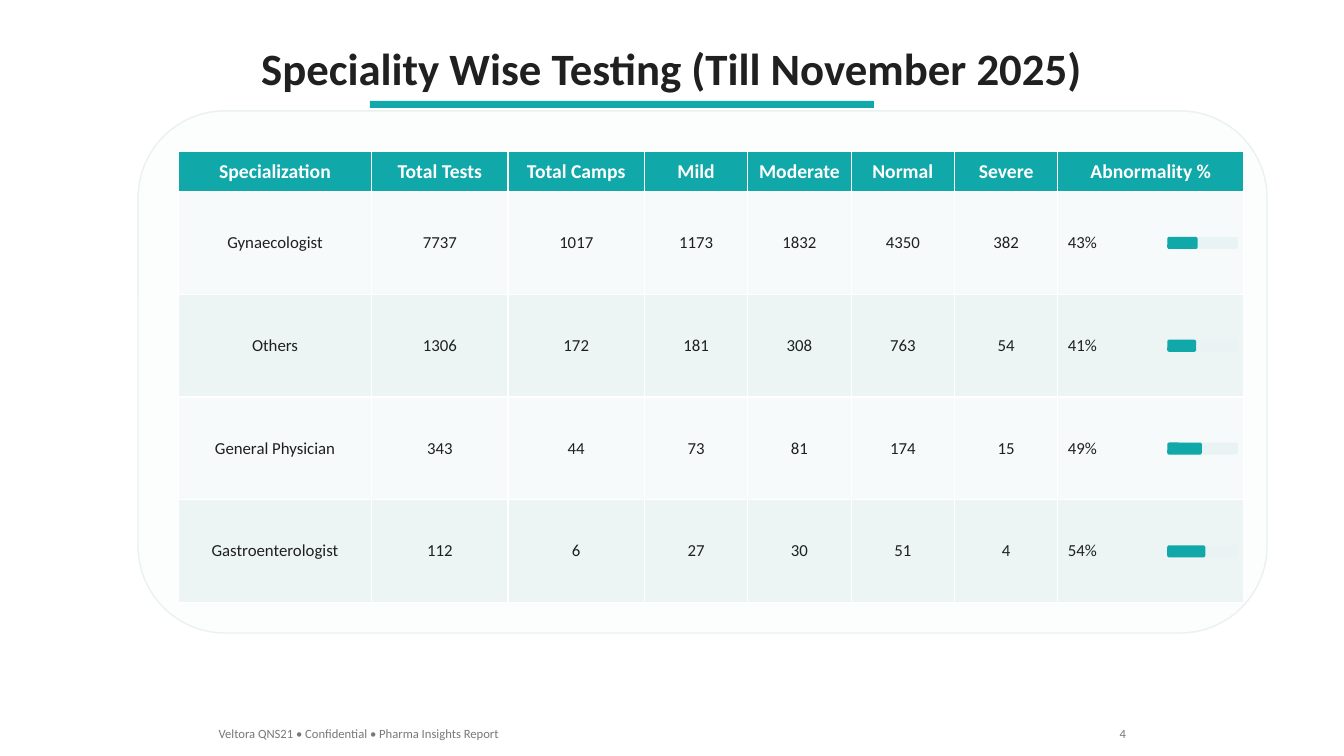
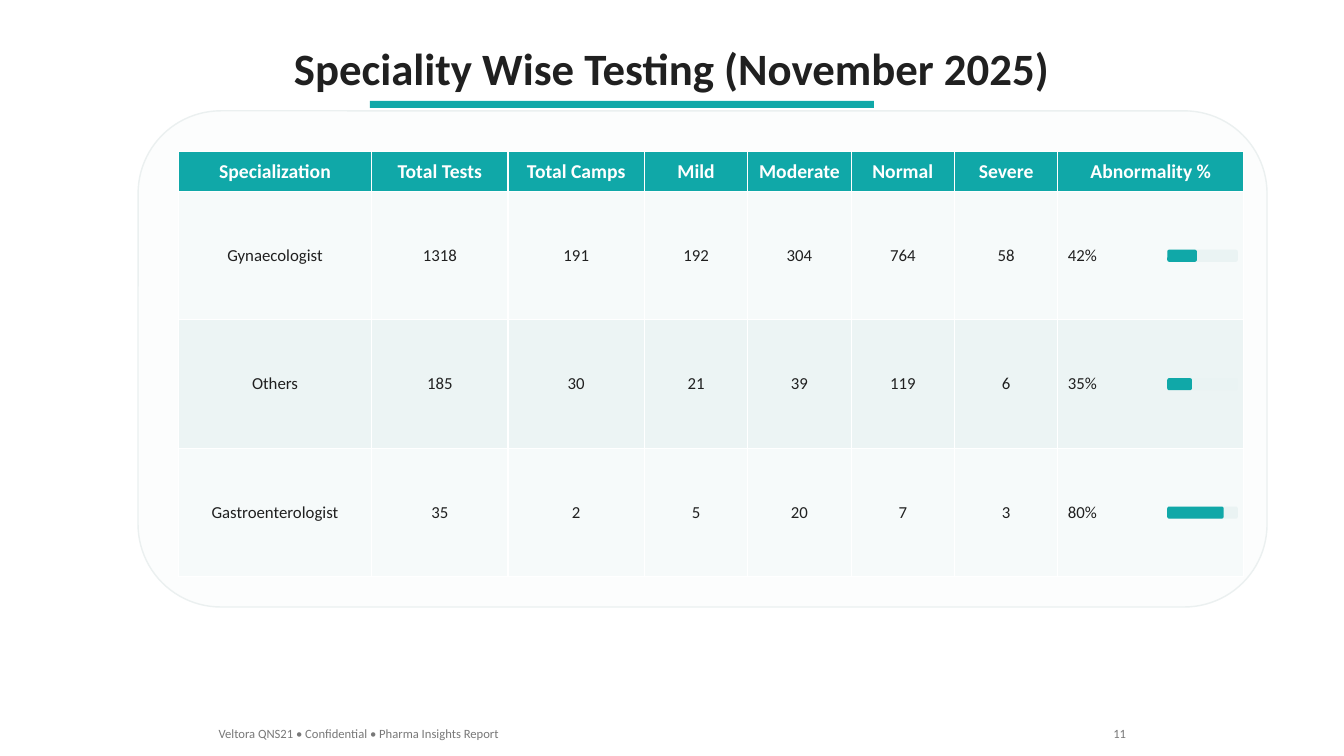
import dataclasses
import typing

import pptx
import pptx.dml.color
import pptx.enum.shapes
import pptx.enum.text
import pptx.shapes.autoshape
import pptx.slide
import pptx.table
import pptx.util

# Every length counts square grid cells, ten to the inch
CELL = pptx.util.Inches(0.1)
COLUMNS, ROWS = 133.33, 75

FONT = "Calibri"
COLOURS = {
    "accent": "10A8A8",
    "text": "202020",
    "muted": "787878",
    "white": "FFFFFF",
    "card": "FCFDFD",
    "card_line": "EBF0F0",
    "row_odd": "F6FAFA",
    "row_even": "ECF4F4",
    "track": "EAF3F3",
}
FOOTER = "Veltora QNS21 • Confidential • Pharma Insights Report"
HEADERS = ("Specialization", "Total Tests", "Total Camps", "Mild",
           "Moderate", "Normal", "Severe", "Abnormality %")
COLUMN_WEIGHTS = (1.87, 1.32, 1.32, 1, 1, 1, 1, 1.8)

Align = pptx.enum.text.PP_ALIGN
ShapeType = pptx.enum.shapes.MSO_SHAPE


class Box(typing.NamedTuple):
    left: float
    top: float
    width: float
    height: float

    def lengths(self) -> list[int]:
        return [round(value * CELL) for value in self]


class TextStyle(typing.NamedTuple):
    size: int
    colour: str
    bold: bool = False
    align: Align = Align.CENTER


TITLE = TextStyle(32, "text", bold=True)
HEADER = TextStyle(14, "white", bold=True)
BODY = TextStyle(12, "text")
BODY_LEFT = BODY._replace(align=Align.LEFT)
FOOTER_LEFT = TextStyle(9, "muted", align=Align.LEFT)
FOOTER_RIGHT = FOOTER_LEFT._replace(align=Align.RIGHT)

TABLE_LEFT, TABLE_TOP, TABLE_WIDTH = 17.7, 15, 105.7
HEADER_HEIGHT = 4
CARD_MARGIN = 4
BAR_WIDTH, BAR_HEIGHT, BAR_INSET = 7, 1.2, 0.6
FOOTER_TOP, FOOTER_HEIGHT, FOOTER_END = 71.5, 2.5, 112.7


@dataclasses.dataclass(frozen=True)
class Speciality:
    name: str
    camps: int
    mild: int
    moderate: int
    normal: int
    severe: int

    @property
    def tests(self) -> int:
        return self.mild + self.moderate + self.normal + self.severe

    @property
    def abnormality(self) -> int:
        return 100 * (self.tests - self.normal) // self.tests

    def cells(self) -> tuple[str, ...]:
        counts = (self.tests, self.camps, self.mild, self.moderate, self.normal, self.severe)
        return (self.name, *map(str, counts), f"{self.abnormality}%")


@dataclasses.dataclass(frozen=True)
class Report:
    title: str
    title_width: float
    page: int
    row_height: float
    specialities: tuple[Speciality, ...]


REPORTS = (
    Report("Speciality Wise Testing (Till November 2025)", 84.3, 4, 10.2, (
        Speciality("Gynaecologist", 1017, 1173, 1832, 4350, 382),
        Speciality("Others", 172, 181, 308, 763, 54),
        Speciality("General Physician", 44, 73, 81, 174, 15),
        Speciality("Gastroenterologist", 6, 27, 30, 51, 4),
    )),
    Report("Speciality Wise Testing (November 2025)", 77.7, 11, 12.74, (
        Speciality("Gynaecologist", 191, 192, 304, 764, 58),
        Speciality("Others", 30, 21, 39, 119, 6),
        Speciality("Gastroenterologist", 2, 5, 20, 7, 3),
    )),
)


def colour(name: str) -> pptx.dml.color.RGBColor:
    return pptx.dml.color.RGBColor.from_string(COLOURS[name])


def write(frame: pptx.shapes.autoshape.TextFrame, text: str, style: TextStyle) -> None:
    paragraph = frame.paragraphs[0]
    paragraph.text = text
    paragraph.alignment = style.align
    paragraph.font.name = FONT
    paragraph.font.size = pptx.util.Pt(style.size)
    paragraph.font.bold = style.bold
    paragraph.font.color.rgb = colour(style.colour)


def add_text(slide: pptx.slide.Slide, box: Box, text: str, style: TextStyle) -> None:
    frame = slide.shapes.add_textbox(*box.lengths()).text_frame
    frame.word_wrap = False
    frame.auto_size = pptx.enum.text.MSO_AUTO_SIZE.SHAPE_TO_FIT_TEXT
    write(frame, text, style)


def add_panel(slide: pptx.slide.Slide, box: Box, fill: str, line: str | None = None,
              kind: ShapeType = ShapeType.ROUNDED_RECTANGLE) -> None:
    shape = slide.shapes.add_shape(kind, *box.lengths())
    shape.shadow.inherit = False
    shape.fill.solid()
    shape.fill.fore_color.rgb = colour(fill)
    if line:
        shape.line.color.rgb = colour(line)
        shape.line.width = pptx.util.Pt(1)
    else:
        shape.line.fill.background()


def fill_cell(cell: pptx.table._Cell, text: str, fill: str, style: TextStyle) -> None:
    cell.fill.solid()
    cell.fill.fore_color.rgb = colour(fill)
    cell.vertical_anchor = pptx.enum.text.MSO_ANCHOR.MIDDLE
    write(cell.text_frame, text, style)


def add_results(slide: pptx.slide.Slide, report: Report) -> None:
    row_count = len(report.specialities)
    height = HEADER_HEIGHT + row_count * report.row_height

    # Card behind the table
    add_panel(slide, Box(TABLE_LEFT - CARD_MARGIN, TABLE_TOP - CARD_MARGIN, 112, height + 7),
              "card", line="card_line")

    # Table
    box = Box(TABLE_LEFT, TABLE_TOP, TABLE_WIDTH, height)
    table = slide.shapes.add_table(row_count + 1, len(HEADERS), *box.lengths()).table
    for column, weight in zip(table.columns, COLUMN_WEIGHTS):
        column.width = round(TABLE_WIDTH * weight / sum(COLUMN_WEIGHTS) * CELL)
    table.rows[0].height = HEADER_HEIGHT * CELL
    for index, header in enumerate(HEADERS):
        fill_cell(table.cell(0, index), header, "accent", HEADER)
    for number, speciality in enumerate(report.specialities, start=1):
        table.rows[number].height = round(report.row_height * CELL)
        fill = "row_odd" if number % 2 else "row_even"
        for index, text in enumerate(speciality.cells()):
            style = BODY_LEFT if index == len(HEADERS) - 1 else BODY
            fill_cell(table.cell(number, index), text, fill, style)

    # Abnormality bars, centred in their rows
    left = TABLE_LEFT + TABLE_WIDTH - BAR_INSET - BAR_WIDTH
    for index, speciality in enumerate(report.specialities):
        middle = TABLE_TOP + HEADER_HEIGHT + (index + 0.5) * report.row_height
        track = Box(left, middle - BAR_HEIGHT / 2, BAR_WIDTH, BAR_HEIGHT)
        add_panel(slide, track, "track")
        add_panel(slide, track._replace(width=BAR_WIDTH * speciality.abnormality / 100), "accent")


def add_report(presentation: pptx.presentation.Presentation, report: Report) -> None:
    slide = presentation.slides.add_slide(presentation.slide_layouts[6])

    # Title and its underline
    title_left = (COLUMNS - report.title_width) / 2
    add_text(slide, Box(title_left, 3.5, report.title_width, 6.4), report.title, TITLE)
    add_panel(slide, Box(36.7, 10, 50, 0.7), "accent", kind=ShapeType.RECTANGLE)

    add_results(slide, report)

    # Footer and page number
    add_text(slide, Box(20.7, FOOTER_TOP, 30.5, FOOTER_HEIGHT), FOOTER, FOOTER_LEFT)
    page = str(report.page)
    page_width = 2.1 + 0.6 * len(page)
    add_text(slide, Box(FOOTER_END - page_width, FOOTER_TOP, page_width, FOOTER_HEIGHT),
             page, FOOTER_RIGHT)


def main() -> None:
    presentation = pptx.Presentation()
    presentation.slide_width = round(COLUMNS * CELL)
    presentation.slide_height = ROWS * CELL
    for report in REPORTS:
        add_report(presentation, report)
    presentation.save("out.pptx")


if __name__ == "__main__":
    main()
